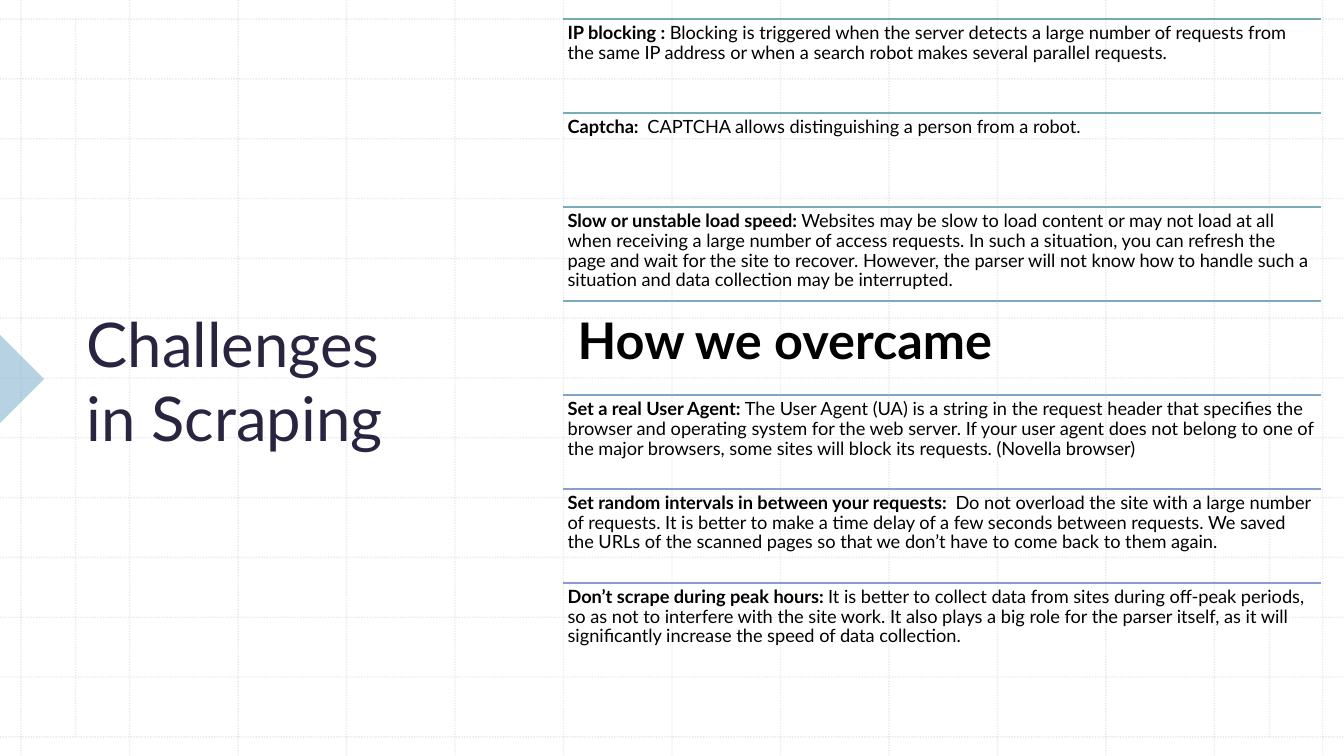
from dataclasses import dataclass

from lxml import etree
from pptx import Presentation
from pptx import util as u
from pptx.dml import color
from pptx.enum import dml, shapes, text
from pptx.oxml import ns

COLORS = {
    "background": "FFFFFF",
    "grid": "BCBCBC",
    "marker": "71A8C8",
    "title": "2B2441",
    "body": "000000",
}
FONT = "Lato"
GRID_STEPS = 12
GRID_LEFT, GRID_RIGHT = 0.21, 13.12
GRID_TOP, GRID_BOTTOM = 0.19, 7.31
SIDE_GUIDES = (0.75, 12.59)
LIST_LEFT, LIST_TOP, LIST_WIDTH = 5.58, 0.19, 7.52
ROW_PITCH = 0.932


@dataclass(frozen=True)
class Row:
    rule: str
    heading: str
    detail: str = ""
    size: float = 13
    inset: float = 0.05


ROWS = (
    Row("72ADAA", "IP blocking : ",
        "Blocking is triggered when the server detects a large number of requests "
        "from the same IP address or when a search robot makes several parallel requests."),
    Row("75AEB4", "Captcha:  ",
        "CAPTCHA allows distinguishing a person from a robot."),
    Row("79ACBB", "Slow or unstable load speed: ",
        "Websites may be slow to load content or may not load at all when receiving "
        "a large number of access requests. In such a situation, you can refresh the page "
        "and wait for the site to recover. However, the parser will not know how to handle "
        "such a situation and data collection may be interrupted."),
    Row("7DA8C1", "How we overcame", size=36, inset=0.15),
    Row("81A4C7", "Set a real User Agent: ",
        "The User Agent (UA) is a string in the request header that specifies the browser "
        "and operating system for the web server. If your user agent does not belong to one "
        "of the major browsers, some sites will block its requests. (Novella browser)"),
    Row("869FCD", "Set random intervals in between your requests: ",
        " Do not overload the site with a large number of requests. It is better to make "
        "a time delay of a few seconds between requests. We saved the URLs of the scanned "
        "pages so that we don’t have to come back to them again."),
    Row("8B9AD2", "Don’t scrape during peak hours: ",
        "It is better to collect data from sites during off-peak periods, so as not to "
        "interfere with the site work. It also plays a big role for the parser itself, "
        "as it will significantly increase the speed of data collection."),
)


def rgb(value: str) -> color.RGBColor:
    return color.RGBColor.from_string(value)


def set_alpha(shape, percent: int) -> None:
    for solid_color in shape._element.spPr.iter(ns.qn("a:srgbClr")):
        etree.SubElement(solid_color, ns.qn("a:alpha"), val=str(percent * 1000))


def add_line(slide, x1: float, y1: float, x2: float, y2: float, line_color: str):
    line = slide.shapes.add_connector(
        shapes.MSO_CONNECTOR.STRAIGHT,
        u.Inches(x1), u.Inches(y1), u.Inches(x2), u.Inches(y2))
    line.line.color.rgb = rgb(line_color)
    line.line.width = u.Pt(1)
    etree.SubElement(line._element.spPr, ns.qn("a:effectLst"))
    return line


def add_grid_line(slide, x1: float, y1: float, x2: float, y2: float) -> None:
    line = add_line(slide, x1, y1, x2, y2, COLORS["grid"])
    line.line.dash_style = dml.MSO_LINE.ROUND_DOT
    set_alpha(line, 30)


def add_grid(slide) -> None:
    for step in range(GRID_STEPS + 1):
        x = GRID_LEFT + step * (GRID_RIGHT - GRID_LEFT) / GRID_STEPS
        y = GRID_TOP + step * (GRID_BOTTOM - GRID_TOP) / GRID_STEPS
        add_grid_line(slide, x, 0, x, 7.5)
        add_grid_line(slide, 0, y, 13.33, y)
    for x in SIDE_GUIDES:
        add_grid_line(slide, x, GRID_TOP, x, GRID_BOTTOM)


def add_marker(slide) -> None:
    marker = slide.shapes.add_shape(
        shapes.MSO_SHAPE.RIGHT_TRIANGLE,
        u.Inches(-0.31), u.Inches(3.45), u.Inches(0.62), u.Inches(0.62))
    marker.rotation = 225
    marker.shadow.inherit = False
    marker.fill.solid()
    marker.fill.fore_color.rgb = rgb(COLORS["marker"])
    set_alpha(marker, 50)
    marker.line.fill.background()


def add_run(paragraph, content: str, size: float, text_color: str, bold: bool = False) -> None:
    run = paragraph.add_run()
    run.text = content
    run.font.name = FONT
    run.font.size = u.Pt(size)
    run.font.bold = bold
    run.font.color.rgb = rgb(text_color)


def format_title(slide) -> None:
    title = slide.shapes.title
    title.left, title.top = u.Inches(0.76), u.Inches(0.79)
    title.width, title.height = u.Inches(3.75), u.Inches(5.95)
    frame = title.text_frame
    frame.auto_size = text.MSO_AUTO_SIZE.NONE
    frame.word_wrap = True
    frame.margin_right = u.Inches(0.3)
    frame.vertical_anchor = text.MSO_ANCHOR.MIDDLE
    paragraph = frame.paragraphs[0]
    paragraph.alignment = text.PP_ALIGN.LEFT
    paragraph.space_after = u.Pt(6)
    add_run(paragraph, "Challenges in Scraping", 44, COLORS["title"])
    slide.shapes._spTree.append(title._element)


def add_row(slide, row: Row, top: float) -> None:
    add_line(slide, LIST_LEFT, top, LIST_LEFT + LIST_WIDTH, top, row.rule)
    box = slide.shapes.add_textbox(
        u.Inches(LIST_LEFT), u.Inches(top), u.Inches(LIST_WIDTH), u.Inches(ROW_PITCH))
    frame = box.text_frame
    frame.word_wrap = True
    frame.margin_left = frame.margin_right = u.Inches(row.inset)
    frame.margin_top = frame.margin_bottom = u.Inches(row.inset)
    paragraph = frame.paragraphs[0]
    paragraph.line_spacing = 0.9
    paragraph.space_after = u.Pt(0.35 * row.size)
    add_run(paragraph, row.heading, row.size, COLORS["body"], bold=True)
    if row.detail:
        add_run(paragraph, row.detail, row.size, COLORS["body"])


def main() -> None:
    presentation = Presentation()
    presentation.slide_width = u.Inches(13.33)
    presentation.slide_height = u.Inches(7.5)
    slide = presentation.slides.add_slide(presentation.slide_layouts.get_by_name("Title Only"))
    slide.background.fill.solid()
    slide.background.fill.fore_color.rgb = rgb(COLORS["background"])
    add_grid(slide)
    add_marker(slide)
    format_title(slide)
    for index, row in enumerate(ROWS):
        add_row(slide, row, LIST_TOP + index * ROW_PITCH)
    presentation.save("out.pptx")


if __name__ == "__main__":
    main()
